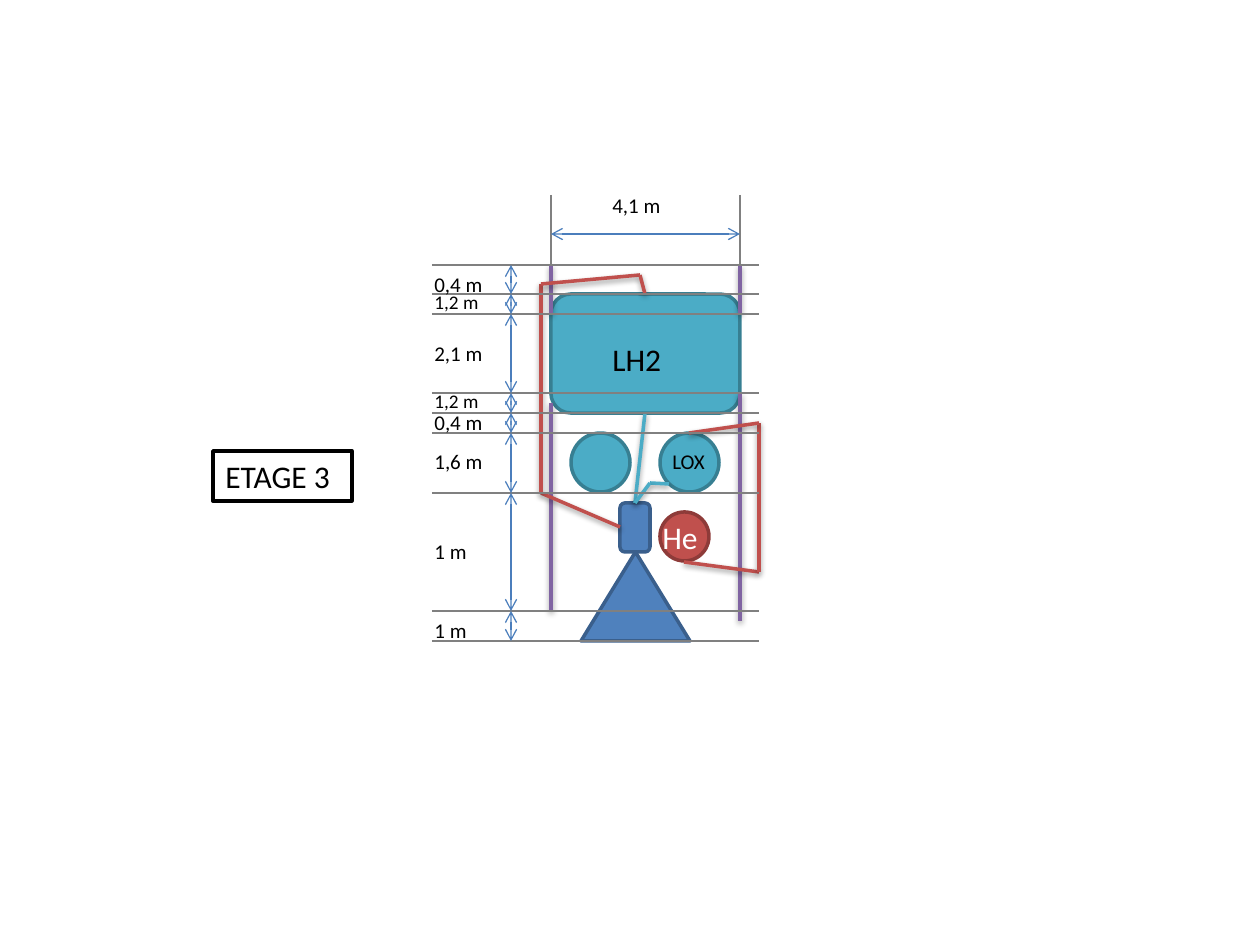
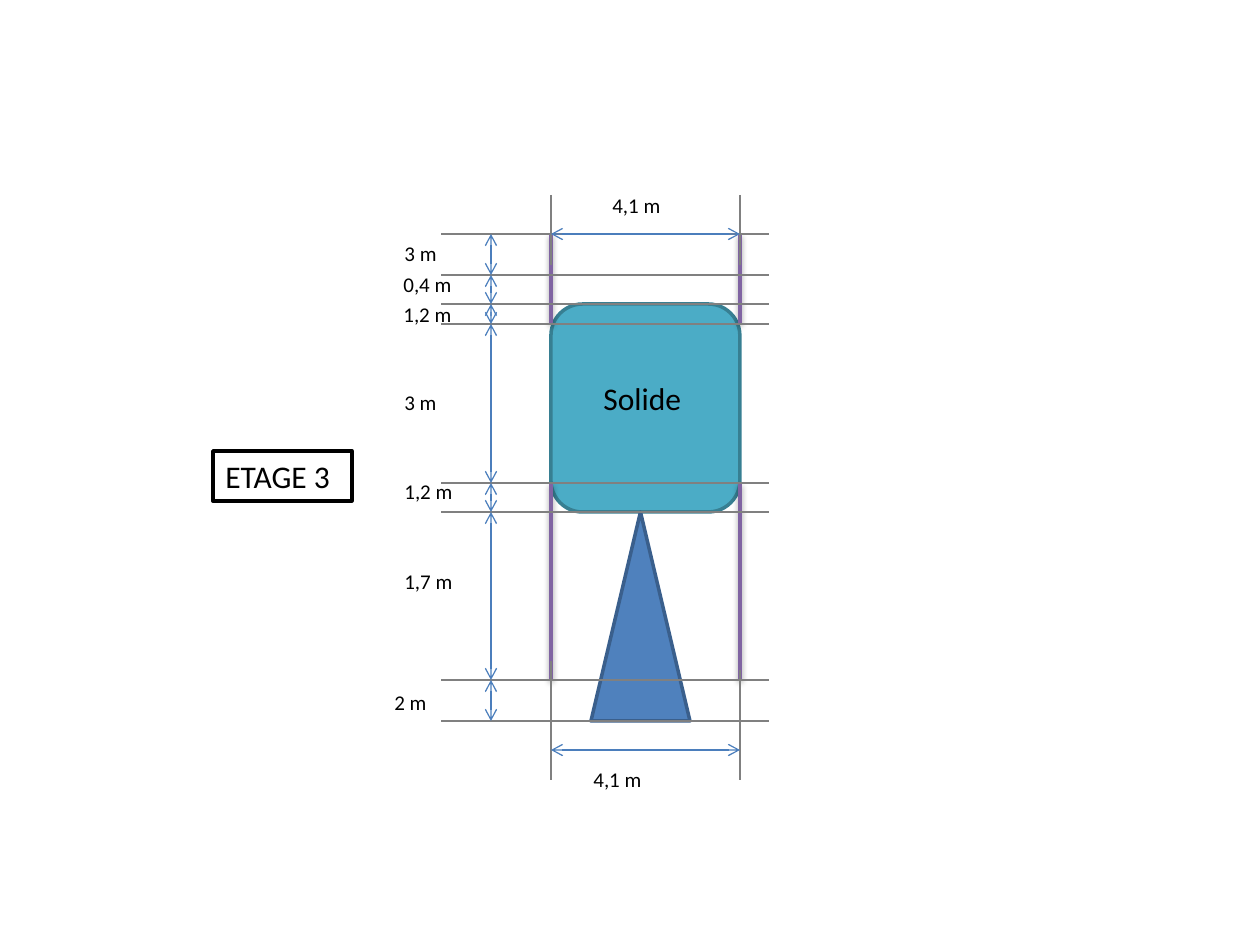
from itertools import pairwise

from lxml import etree
from pptx import Presentation
from pptx import util as u
from pptx.dml.color import RGBColor
from pptx.enum import shapes as kinds, text as txt
from pptx.oxml.ns import qn

PX = u.Inches(1) / 126
FONT = "Calibri"
COLOURS = {
    "tank": "4BACC6", "tank edge": "377F92",
    "engine": "4F81BD", "engine edge": "3A5F8C",
    "helium": "C0504D", "helium edge": "8E3B39",
    "wall": "8064A2", "gauge": "4B7EBC", "level": "808080",
    "black": "000000", "white": "FFFFFF",
}
OUTLINES = {
    "box": kinds.MSO_SHAPE.ROUNDED_RECTANGLE,
    "ball": kinds.MSO_SHAPE.OVAL,
    "cone": kinds.MSO_SHAPE.ISOSCELES_TRIANGLE,
}
LABEL_HEIGHT = {11: 36, 12: 38, 18: 50}

# Shared by both stages
LEFT, RIGHT = 551, 740
BADGE = ("ETAGE 3", 213, 451, 139, 50)
TOP_GAUGE = (234, (195, 265), (195, 265))   # arrow height, left and right guides
TOP_WIDTH = ("4,1 m", 600, 186, 179, 12)

# Content: labels are text, x, y, width, size; parts are outline, material, box
STAGES = [
    {
        "parts": [
            ("box", "tank", (LEFT, 294, RIGHT - LEFT, 119)),
            ("ball", "tank", (571, 433, 59, 59)),
            ("ball", "tank", (660, 433, 59, 59)),
            ("box", "engine", (620, 503, 30, 49)),
            ("cone", "engine", (581, 552, 109, 89)),
            ("ball", "helium", (660, 512, 49, 49)),
        ],
        "walls": [(RIGHT, 393, 621), (LEFT, 403, 611),
                  (LEFT, 265, 314), (RIGHT, 265, 314)],
        "pipes": [
            ("tank", [(645, 413), (635, 503)]),
            ("tank", [(669, 484), (650, 483), (635, 503)]),
            ("helium", [(684, 562), (759, 572), (759, 423), (689, 433)]),
            ("helium", [(620, 527), (541, 493), (541, 284), (640, 275), (645, 294)]),
        ],
        "levels": [265, 294, 314, 393, 413, 433, 493, 611, 641],
        "level span": (432, 759),
        "gauge x": 511,
        "width gauges": [TOP_GAUGE],
        "labels": [
            TOP_WIDTH,
            ("0,4 m", 422, 265, 89, 12), ("1,2 m", 422, 284, 139, 11),
            ("2,1 m", 422, 334, 89, 12), ("1,2 m", 422, 383, 139, 11),
            ("0,4 m", 422, 403, 110, 12), ("1,6 m", 422, 442, 79, 12),
            ("1 m", 422, 532, 79, 12), ("1 m", 422, 611, 110, 12),
            ("LH2", 600, 334, 169, 18), ("LOX", 660, 442, 110, 12),
            ("He", 650, 512, 110, 18, "white"),
        ],
    },
    {
        "parts": [
            ("box", "tank", (LEFT, 304, RIGHT - LEFT, 208)),
            ("cone", "engine", (591, 512, 99, 209)),
        ],
        "walls": [(x, top, bottom) for x in (LEFT, RIGHT)
                  for top, bottom in ((234, 324), (483, 680))],
        "pipes": [],
        "levels": [234, 275, 304, 324, 483, 512, 680, 721],
        "level span": (441, 769),
        "gauge x": 491,
        "width gauges": [TOP_GAUGE, (750, (661, 780), (670, 780))],
        "labels": [
            TOP_WIDTH,
            ("3 m", 392, 234, 81, 12), ("0,4 m", 391, 265, 81, 12),
            ("1,2 m", 391, 295, 81, 12), ("3 m", 392, 383, 100, 12),
            ("1,2 m", 392, 472, 81, 12), ("1,7 m", 392, 562, 89, 12),
            ("2 m", 382, 683, 89, 12), ("4,1 m", 581, 760, 81, 12),
            ("Solide", 591, 373, 118, 18),
        ],
    },
]


def emu(*pixels):
    return [round(p * PX) for p in pixels]


def rgb(name):
    return RGBColor.from_string(COLOURS[name])


def add_part(slide, outline, fill, edge, box):
    part = slide.shapes.add_shape(outline, *emu(*box))
    part.shadow.inherit = False
    part.fill.solid()
    part.fill.fore_color.rgb = rgb(fill)
    part.line.color.rgb = rgb(edge)
    part.line.width = u.Pt(2)
    return part


def add_line(slide, start, end, colour, width=0.75, arrows=False, shadow=False):
    line = slide.shapes.add_connector(kinds.MSO_CONNECTOR.STRAIGHT, *emu(*start, *end))
    line.line.color.rgb = rgb(colour)
    line.line.width = u.Pt(width)
    if arrows:
        for tip in ("a:headEnd", "a:tailEnd"):
            etree.SubElement(line.line._get_or_add_ln(), qn(tip), type="arrow")
    effects = etree.SubElement(line._element.spPr, qn("a:effectLst"))
    if shadow:
        outer = etree.SubElement(effects, qn("a:outerShdw"), blurRad="40000",
                                 dist="20000", dir="5400000", rotWithShape="0")
        black = etree.SubElement(outer, qn("a:srgbClr"), val=COLOURS["black"])
        etree.SubElement(black, qn("a:alpha"), val="38000")


def write(holder, words, size, colour="black"):
    frame = holder.text_frame
    frame.word_wrap = True
    frame.auto_size = txt.MSO_AUTO_SIZE.SHAPE_TO_FIT_TEXT
    frame.vertical_anchor = txt.MSO_ANCHOR.TOP
    paragraph = frame.paragraphs[0]
    paragraph.alignment = txt.PP_ALIGN.LEFT
    run = paragraph.add_run()
    run.text = words
    run.font.name = FONT
    run.font.size = u.Pt(size)
    run.font.color.rgb = rgb(colour)


def draw_stage(slide, stage):
    # Tanks, engine and stage name
    for outline, material, box in stage["parts"]:
        add_part(slide, OUTLINES[outline], material, material + " edge", box)
    name, *box = BADGE
    write(add_part(slide, kinds.MSO_SHAPE.RECTANGLE, "white", "black", box), name, 18)

    # Walls and pipes
    for x, top, bottom in stage["walls"]:
        add_line(slide, (x, top), (x, bottom), "wall", 2, shadow=True)
    for fluid, bends in stage["pipes"]:
        for start, end in pairwise(bends):
            add_line(slide, start, end, fluid, 2, shadow=True)

    # Height levels and the gauges between them
    first, last = stage["level span"]
    for y in stage["levels"]:
        add_line(slide, (first, y), (last, y), "level")
    x = stage["gauge x"]
    for top, bottom in pairwise(stage["levels"]):
        add_line(slide, (x, top), (x, bottom), "gauge", arrows=True)

    # Width gauges with their guides
    for y, *guides in stage["width gauges"]:
        for side, (top, bottom) in zip((LEFT, RIGHT), guides):
            add_line(slide, (side, top), (side, bottom), "level")
        add_line(slide, (LEFT, y), (RIGHT, y), "gauge", arrows=True)

    # Measures and tank names
    for words, x, y, width, size, *colour in stage["labels"]:
        box = emu(x, y, width, LABEL_HEIGHT[size])
        write(slide.shapes.add_textbox(*box), words, size, *colour)


deck = Presentation()
deck.slide_width, deck.slide_height = u.Inches(10), u.Inches(7.5)
for stage in STAGES:
    draw_stage(deck.slides.add_slide(deck.slide_layouts[6]), stage)
deck.save("out.pptx")
